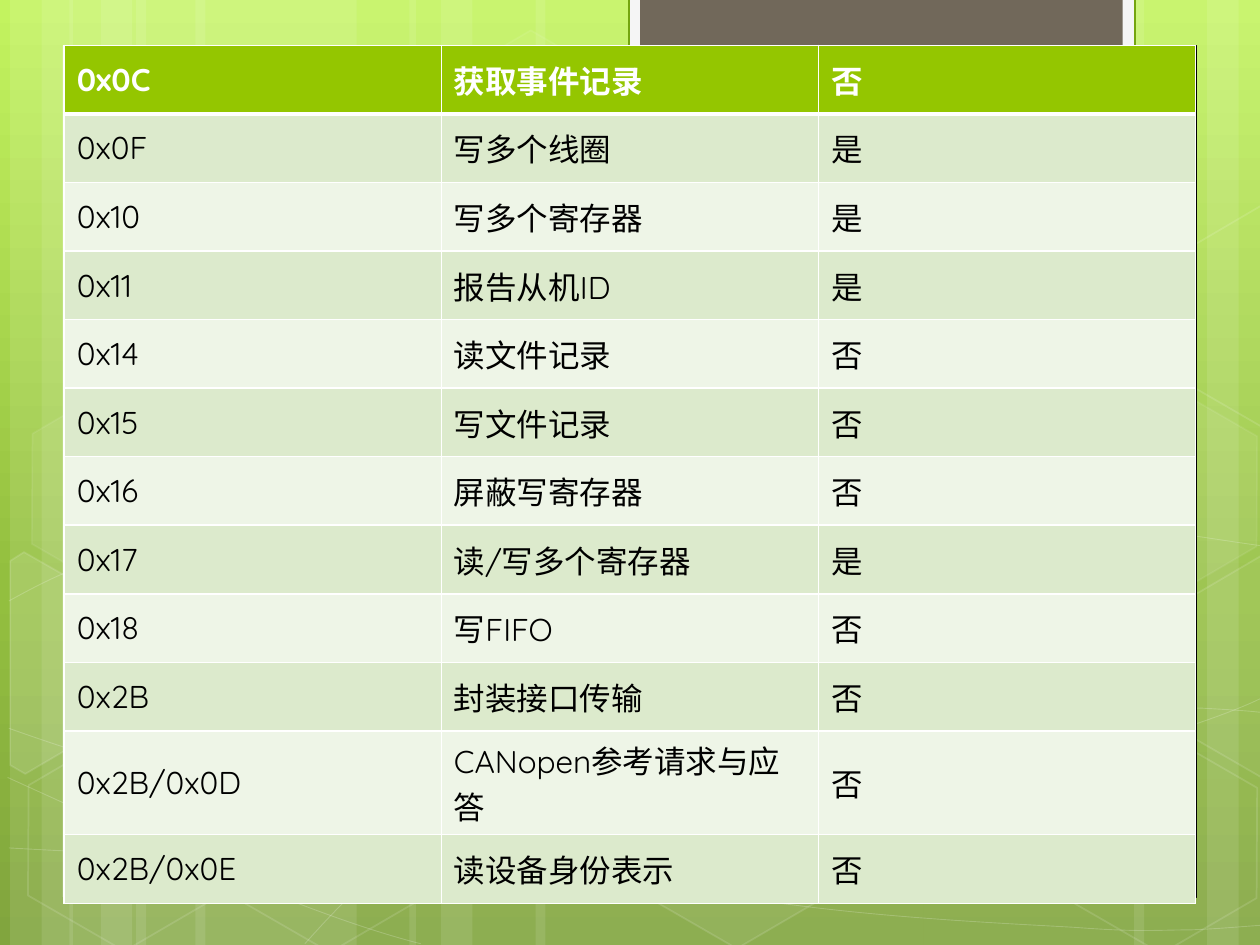
import copy
import math
from dataclasses import dataclass

import lxml.etree
import pptx
import pptx.dml.color
import pptx.enum.shapes
import pptx.enum.text
import pptx.oxml.ns
import pptx.util

EMU_PER_PX = 9144  # 100 px to the inch
RECT = pptx.enum.shapes.MSO_SHAPE.RECTANGLE
HEXAGON = pptx.enum.shapes.MSO_SHAPE.HEXAGON
qn = pptx.oxml.ns.qn


@dataclass(frozen=True)
class Theme:
    font: str = "Quicksand"
    size: int = 18
    white: str = "FFFFFF"
    black: str = "000000"
    header: str = "94C600"
    bands: tuple = ("DCEACC", "EEF5E7")
    tab: str = "F5F5F5"
    tab_line: str = "74A510"
    tab_inner: str = "71685A"
    background: tuple = ((0, "C3F35F"), (0.62, "93BF3F"), (1, "81A53E"))


THEME = Theme()


@dataclass(frozen=True)
class Paint:
    """Fill and line; alpha values are percentages."""
    fill: str | None = None
    fill_alpha: int = 100
    line: str | None = None
    line_width: float = 1
    line_alpha: int = 100


@dataclass(frozen=True)
class Box:
    x: int
    y: int
    w: int
    h: int
    paint: Paint
    rotation: int = 0


@dataclass(frozen=True)
class Curve:
    """Start point, then three points per cubic; straight lists the one-point segments."""
    points: tuple
    straight: tuple = ()


@dataclass(frozen=True)
class CutHexagon:
    """Corners as seen on the slide, turned about the given centre."""
    center: tuple
    corners: tuple
    paint: Paint


def veil(fill: int, line: int) -> Paint:
    return Paint(THEME.white if fill else None, fill, THEME.white, 1, line)


STRIPE = Paint(THEME.white, 10)
STRIPES = [Box(x, 0, w, 750, STRIPE, rot) for x, w, rot in (
    (108, 175, 0), (8, 50, 0), (33, 83, 0), (155, 175, 0), (55, 50, 0), (80, 83, 0),
    (733, 175, 180), (958, 50, 180), (900, 83, 180),
    (425, 308, 0), (325, 50, 0), (350, 83, 0))]

CURVE_PAINT = Paint(line=THEME.white, line_width=0.5, line_alpha=20)
CURVES = [
    Curve(((7, 673), (61, 676), (115, 679), (190, 678), (265, 677), (358, 675), (458, 665),
           (558, 655), (700, 636), (792, 617), (883, 598), (977, 568), (1007, 551))),
    Curve(((7, 477), (36, 461), (65, 446), (121, 431), (178, 416), (259, 394), (347, 387),
           (436, 380), (544, 379), (654, 387), (764, 395), (947, 426), (1007, 434))),
    Curve(((6, 617), (127, 672), (247, 727), (334, 749))),
    Curve(((7, 578), (38, 589), (70, 600), (128, 616), (186, 631), (273, 656), (357, 673),
           (440, 690), (545, 708), (628, 718), (711, 729), (800, 733), (853, 736),
           (905, 740), (919, 738), (945, 738), (971, 737), (989, 735), (1007, 734))),
    Curve(((242, 749), (260, 729), (278, 709), (302, 691), (326, 673), (360, 653), (388, 639),
           (416, 625), (433, 619), (470, 609), (506, 599), (573, 585), (608, 578),
           (644, 571), (649, 571), (680, 569), (711, 566), (760, 563), (794, 562),
           (829, 561), (886, 562), (886, 562), (953, 562),
           (971, 563), (988, 564), (997, 565), (1006, 566), (1003, 565), (1006, 566)),
          straight=(7,)),
]

HEXAGONS = [
    Box(x, y, 175, 152, veil(fill, line), 30) for x, y, fill, line in (
        (334, 36, 4, 8), (497, 589, 6, 12), (11, 591, 0, 12), (14, 312, 7, 8),
        (174, 592, 0, 12), (753, 453, 10, 12), (834, 593, 0, 12), (834, 314, 7, 8))]
CUT_HEXAGONS = [
    CutHexagon((36, 535), ((8, 445), (19, 438), (96, 482), (95, 570), (20, 614), (8, 607)),
               veil(10, 12)),
    CutHexagon((985, 520), ((926, 485), (1001, 441), (1009, 446), (1009, 613), (1002, 617),
                            (926, 573)), veil(4, 12)),
    CutHexagon((985, 241), ((926, 207), (1001, 163), (1010, 168), (1009, 335), (1002, 339),
                            (926, 295)), veil(0, 12)),
]
PANELS = [
    Box(50, 36, 900, 676, Paint(THEME.white, line=THEME.black, line_width=0.5)),
    Box(499, -2, 402, 76, Paint(THEME.tab, line=THEME.tab_line, line_width=1.25)),
    Box(508, -2, 383, 68, Paint(THEME.tab_inner)),
]
TABLE_BOX = (51, 36, 898, 653)
FUNCTION_CODES = [
    ("0x0C", "获取事件记录", "否"),
    ("0x0F", "写多个线圈", "是"),
    ("0x10", "写多个寄存器", "是"),
    ("0x11", "报告从机ID", "是"),
    ("0x14", "读文件记录", "否"),
    ("0x15", "写文件记录", "否"),
    ("0x16", "屏蔽写寄存器", "否"),
    ("0x17", "读/写多个寄存器", "是"),
    ("0x18", "写FIFO", "否"),
    ("0x2B", "封装接口传输", "否"),
    ("0x2B/0x0D", "CANopen参考请求与应答", "否"),
    ("0x2B/0x0E", "读设备身份表示", "否"),
]


def px(n: float) -> int:
    return round(n * EMU_PER_PX)


def rgb(color: str) -> pptx.dml.color.RGBColor:
    return pptx.dml.color.RGBColor.from_string(color)


def set_color(fill, parent, color: str, alpha: int) -> None:
    fill.solid()
    fill.fore_color.rgb = rgb(color)
    if alpha < 100:
        clr = parent.find(f"{qn('a:solidFill')}/{qn('a:srgbClr')}")
        lxml.etree.SubElement(clr, qn("a:alpha"), val=str(alpha * 1000))


def apply_paint(sp, paint: Paint) -> None:
    sp.shadow.inherit = False
    sp_pr = sp._element.spPr
    if paint.fill:
        set_color(sp.fill, sp_pr, paint.fill, paint.fill_alpha)
    else:
        sp.fill.background()
    if paint.line:
        sp.line.width = pptx.util.Pt(paint.line_width)
        set_color(sp.line.fill, sp_pr.find(qn("a:ln")), paint.line, paint.line_alpha)
    else:
        sp.line.fill.background()


def add_box(s, box: Box, kind=RECT):
    sp = s.shapes.add_shape(kind, px(box.x), px(box.y), px(box.w), px(box.h))
    sp.rotation = box.rotation
    apply_paint(sp, box.paint)
    return sp


def add_outline(s, points, paint: Paint, close: bool):
    start, *rest = [(px(x), px(y)) for x, y in points]
    builder = s.shapes.build_freeform(*start, scale=1.0)
    builder.add_line_segments(rest, close=close)
    sp = builder.convert_to_shape()
    apply_paint(sp, paint)
    return sp


def add_curve(s, curve: Curve) -> None:
    """Draw the points as lines, then merge each three into one cubic segment."""
    sp = add_outline(s, curve.points, CURVE_PAINT, close=False)
    lines = iter(list(sp._element.iter(qn("a:lnTo"))))
    for i, segment in enumerate(lines):
        if i not in curve.straight:
            cubic = lxml.etree.Element(qn("a:cubicBezTo"))
            segment.addprevious(cubic)
            for line in (segment, next(lines), next(lines)):
                cubic.append(line[0])
                line.getparent().remove(line)


def add_cut_hexagon(s, cut: CutHexagon, angle: int = 30) -> None:
    cx, cy = cut.center
    cos, sin = math.cos(math.radians(angle)), math.sin(math.radians(angle))
    upright = [(cx + (x - cx) * cos + (y - cy) * sin, cy - (x - cx) * sin + (y - cy) * cos)
               for x, y in cut.corners]
    add_outline(s, upright, cut.paint, close=True).rotation = angle


def set_borders(cell, top: int, bottom: int) -> None:
    tc_pr = cell._tc.get_or_add_tcPr()
    for side, width in (("L", 1), ("R", 1), ("T", top), ("B", bottom)):
        ln = lxml.etree.SubElement(tc_pr, qn(f"a:ln{side}"), w=str(pptx.util.Pt(width)))
        fill = lxml.etree.SubElement(ln, qn("a:solidFill"))
        lxml.etree.SubElement(fill, qn("a:srgbClr"), val=THEME.white)


def add_code_table(s) -> None:
    table = s.shapes.add_table(len(FUNCTION_CODES), len(FUNCTION_CODES[0]),
                               *map(px, TABLE_BOX)).table
    table.horz_banding = False
    for i, row in enumerate(FUNCTION_CODES):
        head = i == 0
        for j, text in enumerate(row):
            cell = table.cell(i, j)
            set_borders(cell, top=3 if i == 1 else 1, bottom=3 if head else 1)
            cell.fill.solid()
            cell.fill.fore_color.rgb = rgb(THEME.header if head else THEME.bands[(i - 1) % 2])
            cell.vertical_anchor = pptx.enum.text.MSO_ANCHOR.MIDDLE
            cell.text_frame.text = text
            font = cell.text_frame.paragraphs[0].runs[0].font
            font.name, font.size, font.bold = THEME.font, pptx.util.Pt(THEME.size), head
            font.color.rgb = rgb(THEME.white if head else THEME.black)


def set_background(s) -> None:
    fill = s.background.fill
    fill.gradient()
    fill.gradient_angle = 270
    first = s._element.find(f".//{qn('a:gs')}")
    first.addnext(copy.deepcopy(first))
    for stop, (position, color) in zip(fill.gradient_stops, THEME.background):
        stop.position = position
        stop.color.rgb = rgb(color)


def main() -> None:
    prs = pptx.Presentation()
    prs.slide_width, prs.slide_height = px(1000), px(750)
    s = prs.slides.add_slide(prs.slide_layouts[6])
    set_background(s)
    for stripe in STRIPES:
        add_box(s, stripe)
    for curve in CURVES:
        add_curve(s, curve)
    for box in HEXAGONS:
        sp = add_box(s, box, HEXAGON)
        sp.adjustments[0] = 0.285
    for cut in CUT_HEXAGONS:
        add_cut_hexagon(s, cut)
    for panel in PANELS:
        add_box(s, panel)
    add_code_table(s)
    prs.save("out.pptx")


if __name__ == "__main__":
    main()
